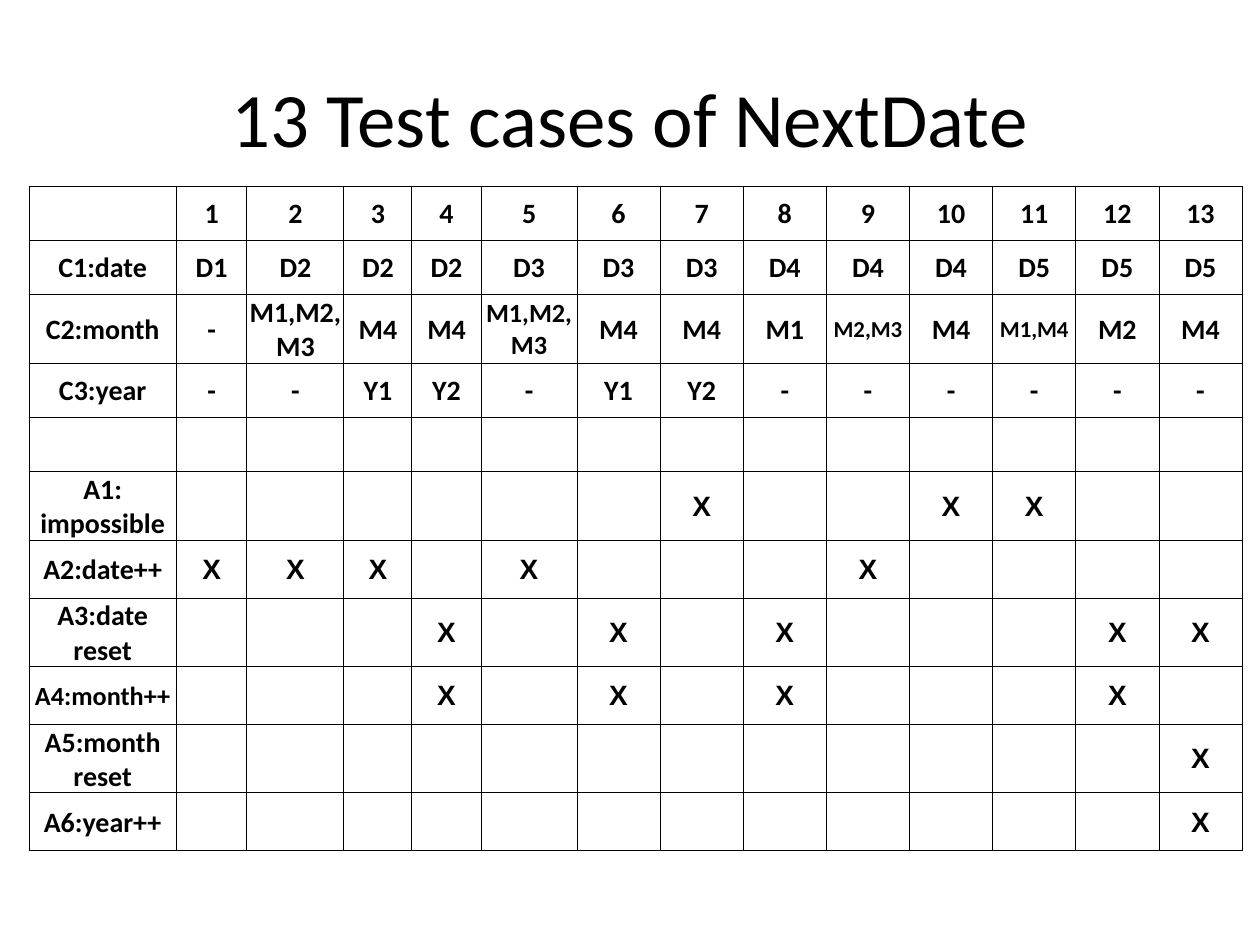
from lxml import etree
from pptx import Presentation
from pptx.dml.color import RGBColor
from pptx.enum.text import MSO_ANCHOR, PP_ALIGN
from pptx.oxml.ns import qn
from pptx.util import Inches, Pt

CENTER = PP_ALIGN.CENTER
MIDDLE = MSO_ANCHOR.MIDDLE
BLACK = "000000"


def color(value):
    return RGBColor.from_string(value)


def add_text(p, text, size, font="Calibri", bold=False):
    p.alignment = CENTER
    r = p.add_run()
    r.text = text
    r.font.size = Pt(size)
    r.font.name = font
    r.font.bold = bold
    r.font.color.rgb = color(BLACK)


prs = Presentation()
prs.slide_width = Inches(10)
prs.slide_height = Inches(7.5)
s = prs.slides.add_slide(prs.slide_layouts[6])

title = s.shapes.add_textbox(Inches(0.5), Inches(0.3), Inches(9), Inches(1.25))
tf = title.text_frame
tf.word_wrap = True
tf.vertical_anchor = MIDDLE
add_text(tf.paragraphs[0], "13 Test cases of NextDate", 44)

cases = range(1, 14)
conditions = [
    ("C1:date", "D1 D2 D2 D2 D3 D3 D3 D4 D4 D4 D5 D5 D5"),
    ("C2:month", "- M1,M2,M3 M4 M4 M1,M2,M3 M4 M4 M1 M2,M3 M4 M1,M4 M2 M4"),
    ("C3:year", "- - Y1 Y2 - Y1 Y2 - - - - - -"),
]
actions = [
    ("A1:\nimpossible", {7, 10, 11}),
    ("A2:date++", {1, 2, 3, 5, 9}),
    ("A3:date reset", {4, 6, 8, 12, 13}),
    ("A4:month++", {4, 6, 8, 12}),
    ("A5:month reset", {13}),
    ("A6:year++", {13}),
]
rows = [[""] + [str(n) for n in cases]]
rows += [[label] + values.split() for label, values in conditions]
rows.append([""] * 14)
rows += [[label] + ["X" if n in marked else "" for n in cases] for label, marked in actions]

small_sizes = {(2, 5): 15, (2, 9): 13, (2, 11): 13, (8, 0): 15}
col_widths = [1.17, 0.56, 0.77, 0.54, 0.55, 0.76] + [0.66] * 8
row_heights = [0.43] * 5 + [0.46] * 6

frame = s.shapes.add_table(len(rows), len(col_widths), Inches(0.23), Inches(1.48),
                           Inches(9.61), Inches(5.27))
table = frame.table
table.first_row = False
table.horz_banding = False
for col, width in zip(table.columns, col_widths):
    col.width = Inches(width)
for row, height in zip(table.rows, row_heights):
    row.height = Inches(height)

for i, values in enumerate(rows):
    for j, text in enumerate(values):
        cell = table.cell(i, j)
        cell.vertical_anchor = MIDDLE
        cell.margin_left = cell.margin_right = cell.margin_top = Inches(0.01)
        cell.margin_bottom = 0
        tcPr = cell._tc.get_or_add_tcPr()
        for side in ("a:lnL", "a:lnR", "a:lnT", "a:lnB"):
            ln = etree.SubElement(tcPr, qn(side), w=str(Pt(0.5)))
            fill = etree.SubElement(ln, qn("a:solidFill"))
            etree.SubElement(fill, qn("a:srgbClr"), val=BLACK)
        cell.fill.background()
        if not text:
            continue
        tf = cell.text_frame
        font = "Arial" if text == "X" else "Calibri"
        for k, line in enumerate(text.split("\n")):
            p = tf.add_paragraph() if k else tf.paragraphs[0]
            add_text(p, line, small_sizes.get((i, j), 16), font, True)

prs.save("out.pptx")
